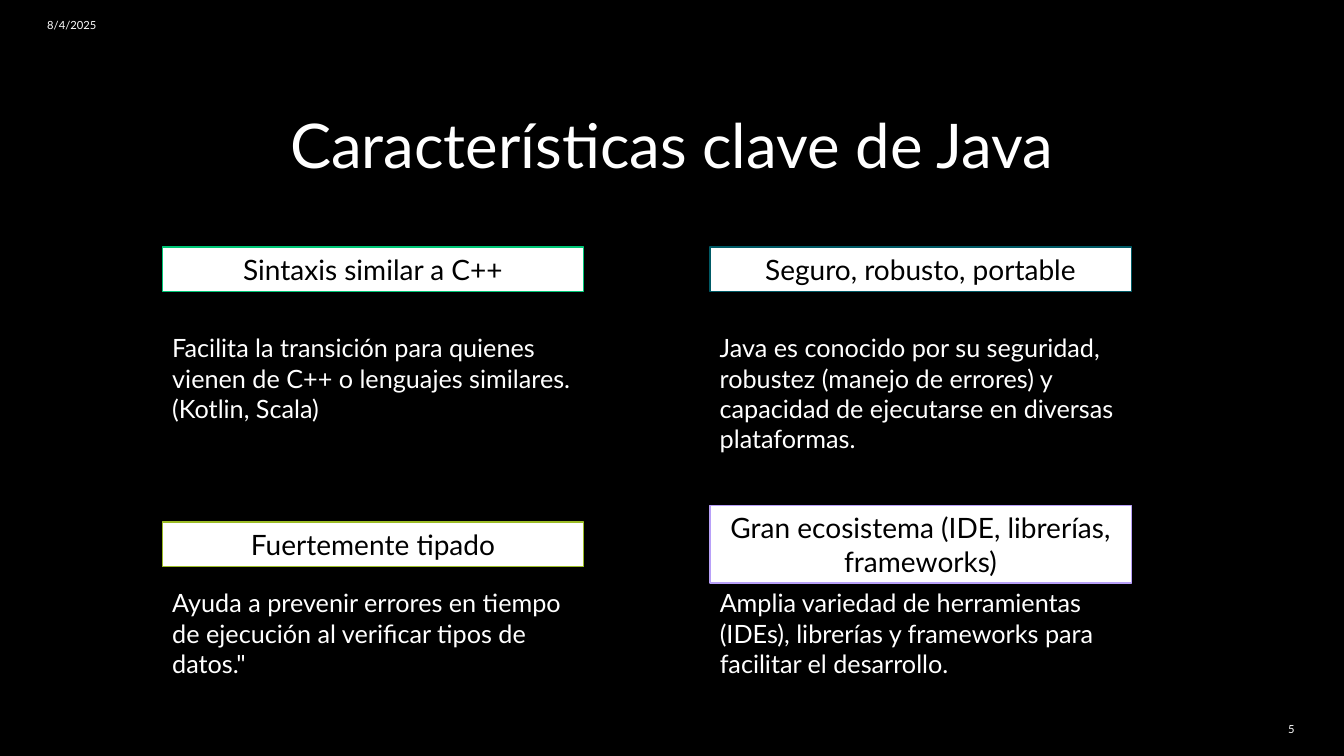
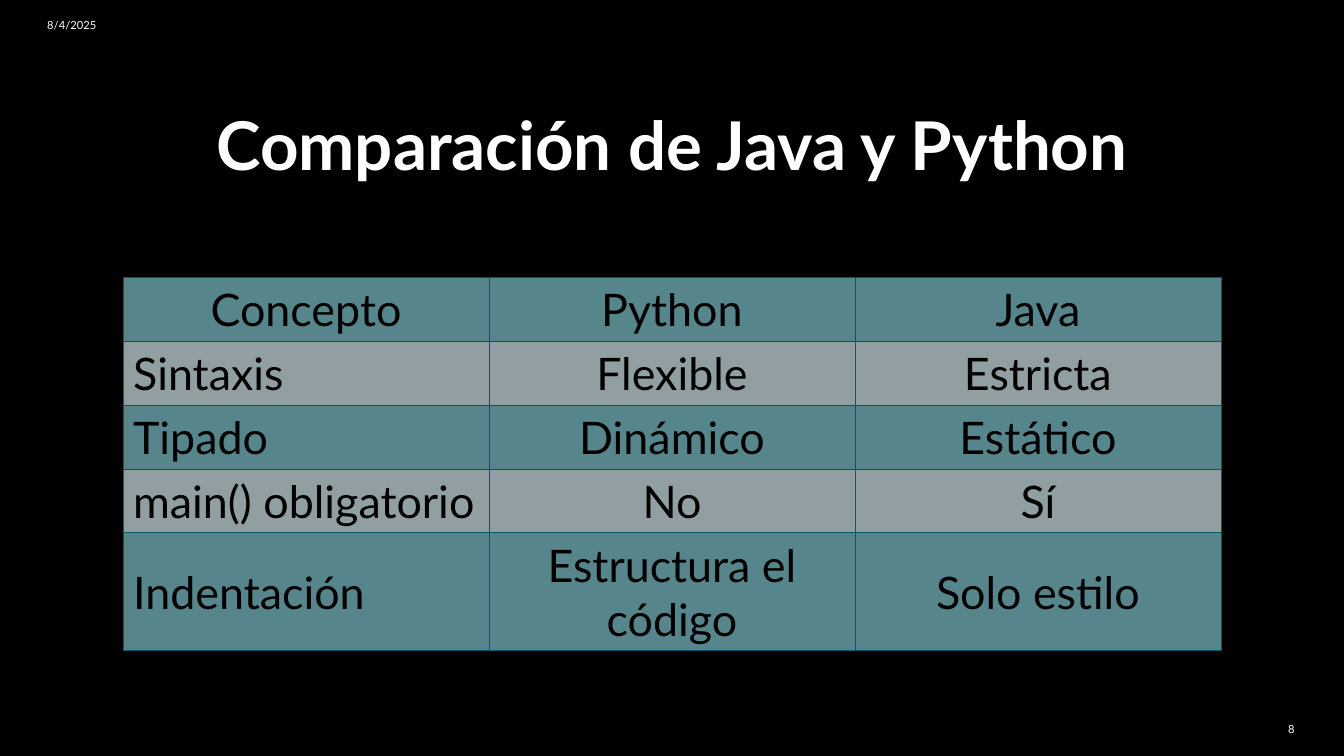
from lxml.etree import SubElement
from pptx import Presentation
from pptx.dml.color import RGBColor
from pptx.enum.shapes import MSO_SHAPE
from pptx.enum.text import MSO_ANCHOR, PP_ALIGN
from pptx.oxml.ns import qn
from pptx.util import Inches, Pt

FONT = "Lato"
BLACK = RGBColor(0x00, 0x00, 0x00)
WHITE = RGBColor(0xFF, 0xFF, 0xFF)
GREEN = RGBColor(0x00, 0xC7, 0x77)
LIME = RGBColor(0x9B, 0xBB, 0x25)
LILAC = RGBColor(0xB8, 0xA0, 0xF8)
TEAL = RGBColor(0x00, 0x5A, 0x66)
BAND_TEAL = RGBColor(0x56, 0x85, 0x8B)
BAND_GRAY = RGBColor(0x91, 0x9F, 0xA3)

DATE = "8/4/2025"

FEATURES_TITLE = "Características clave de Java"
# Column, row, heading, heading lines, outline, description, description size
FEATURES = [
    (0, 0, "Sintaxis similar a C++", 1, GREEN,
     "Facilita la transición para quienes vienen de C++ o lenguajes similares. (Kotlin, Scala)",
     (4.18, 1.01)),
    (0, 1, "Fuertemente tipado", 1, LIME,
     "Ayuda a prevenir errores en tiempo de ejecución al verificar tipos de datos.\"",
     (4.18, 1.01)),
    (1, 0, "Seguro, robusto, portable", 1, TEAL,
     "Java es conocido por su seguridad, robustez (manejo de errores) y capacidad de "
     "ejecutarse en diversas plataformas.",
     (4.57, 1.31)),
    (1, 1, "Gran ecosistema (IDE, librerías, frameworks)", 2, LILAC,
     "Amplia variedad de herramientas (IDEs), librerías y frameworks para facilitar el desarrollo.",
     (4.18, 1.01)),
]
COLUMN_LEFTS = (1.61, 7.04)
HEADING_CENTERS = (2.67, 5.4)
DESCRIPTION_TOPS = (3.25, 5.78)
HEADING_WIDTH = 4.18
HEADING_HEIGHTS = {1: 0.44, 2: 0.77}

COMPARISON_TITLE = "Comparación de Java y Python"
COMPARISON = [
    ("Concepto", "Python", "Java"),
    ("Sintaxis", "Flexible", "Estricta"),
    ("Tipado", "Dinámico", "Estático"),
    ("main() obligatorio", "No", "Sí"),
    ("Indentación", "Estructura el código", "Solo estilo"),
]
TABLE_LEFT, TABLE_TOP, COLUMN_WIDTH = 1.22, 2.75, 3.63
ROW_HEIGHTS = (0.63, 0.63, 0.63, 0.63, 1.17)


def write_text(frame, text, size, color=WHITE, bold=False,
               align=PP_ALIGN.LEFT, line_spacing=None):
    frame.word_wrap = True
    paragraph = frame.paragraphs[0]
    paragraph.alignment = align
    if line_spacing:
        paragraph.line_spacing = line_spacing
    run = paragraph.add_run()
    run.text = text
    run.font.name = FONT
    run.font.size = Pt(size)
    run.font.bold = bold
    run.font.color.rgb = color


def add_text(slide, text, box, size, anchor=MSO_ANCHOR.MIDDLE, **text_format):
    frame = slide.shapes.add_textbox(*map(Inches, box)).text_frame
    frame.vertical_anchor = anchor
    write_text(frame, text, size, **text_format)


def add_base_slide(presentation, title, title_size, number, bold=False):
    """Add a black slide with its title, date and page number."""
    slide = presentation.slides.add_slide(presentation.slide_layouts[6])
    slide.background.fill.solid()
    slide.background.fill.fore_color.rgb = BLACK
    add_text(slide, title, (1.22, 0.69, 10.89, 1.57), title_size, bold=bold,
             align=PP_ALIGN.CENTER, line_spacing=0.9)
    add_text(slide, DATE, (0.37, 0.07, 3, 0.35), 8)
    add_text(slide, str(number), (12.47, 7.03, 0.47, 0.4), 8, align=PP_ALIGN.RIGHT)
    return slide


def add_heading(slide, text, box, outline):
    shape = slide.shapes.add_shape(MSO_SHAPE.RECTANGLE, *map(Inches, box))
    shape.shadow.inherit = False
    shape.fill.solid()
    shape.fill.fore_color.rgb = WHITE
    shape.line.color.rgb = outline
    shape.line.width = Pt(1)
    shape.text_frame.vertical_anchor = MSO_ANCHOR.MIDDLE
    write_text(shape.text_frame, text, 20, color=BLACK, align=PP_ALIGN.CENTER)


def set_cell_borders(cell, color, width):
    properties = cell._tc.get_or_add_tcPr()
    for position, side in enumerate(("a:lnL", "a:lnR", "a:lnT", "a:lnB")):
        line = SubElement(properties, qn(side), w=str(Pt(width)))
        fill = SubElement(line, qn("a:solidFill"))
        SubElement(fill, qn("a:srgbClr"), val=str(color))
        # The schema wants borders ahead of the cell fill
        properties.insert(position, line)


def build_features(presentation):
    slide = add_base_slide(presentation, FEATURES_TITLE, 44, 5)
    for column, row, heading, lines, outline, description, size in FEATURES:
        left = COLUMN_LEFTS[column]
        height = HEADING_HEIGHTS[lines]
        top = HEADING_CENTERS[row] - height / 2
        add_heading(slide, heading, (left, top, HEADING_WIDTH, height), outline)
        add_text(slide, description, (left, DESCRIPTION_TOPS[row], *size), 18,
                 anchor=MSO_ANCHOR.TOP)


def build_comparison(presentation):
    slide = add_base_slide(presentation, COMPARISON_TITLE, 48, 8, bold=True)
    column_count = len(COMPARISON[0])
    table = slide.shapes.add_table(
        len(COMPARISON), column_count, Inches(TABLE_LEFT), Inches(TABLE_TOP),
        Inches(COLUMN_WIDTH * column_count), Inches(sum(ROW_HEIGHTS))).table
    table.first_row = False
    table.horz_banding = False
    for column in table.columns:
        column.width = Inches(COLUMN_WIDTH)
    for row, values in enumerate(COMPARISON):
        table.rows[row].height = Inches(ROW_HEIGHTS[row])
        for column, value in enumerate(values):
            cell = table.cell(row, column)
            cell.vertical_anchor = MSO_ANCHOR.MIDDLE
            cell.fill.solid()
            cell.fill.fore_color.rgb = BAND_GRAY if row % 2 else BAND_TEAL
            set_cell_borders(cell, TEAL, 0.5)
            is_row_label = row > 0 and column == 0
            write_text(cell.text_frame, value, 32, color=BLACK,
                       align=PP_ALIGN.LEFT if is_row_label else PP_ALIGN.CENTER)


def main():
    presentation = Presentation()
    presentation.slide_width = Inches(13.33)
    presentation.slide_height = Inches(7.5)
    build_features(presentation)
    build_comparison(presentation)
    presentation.save("out.pptx")


if __name__ == "__main__":
    main()
